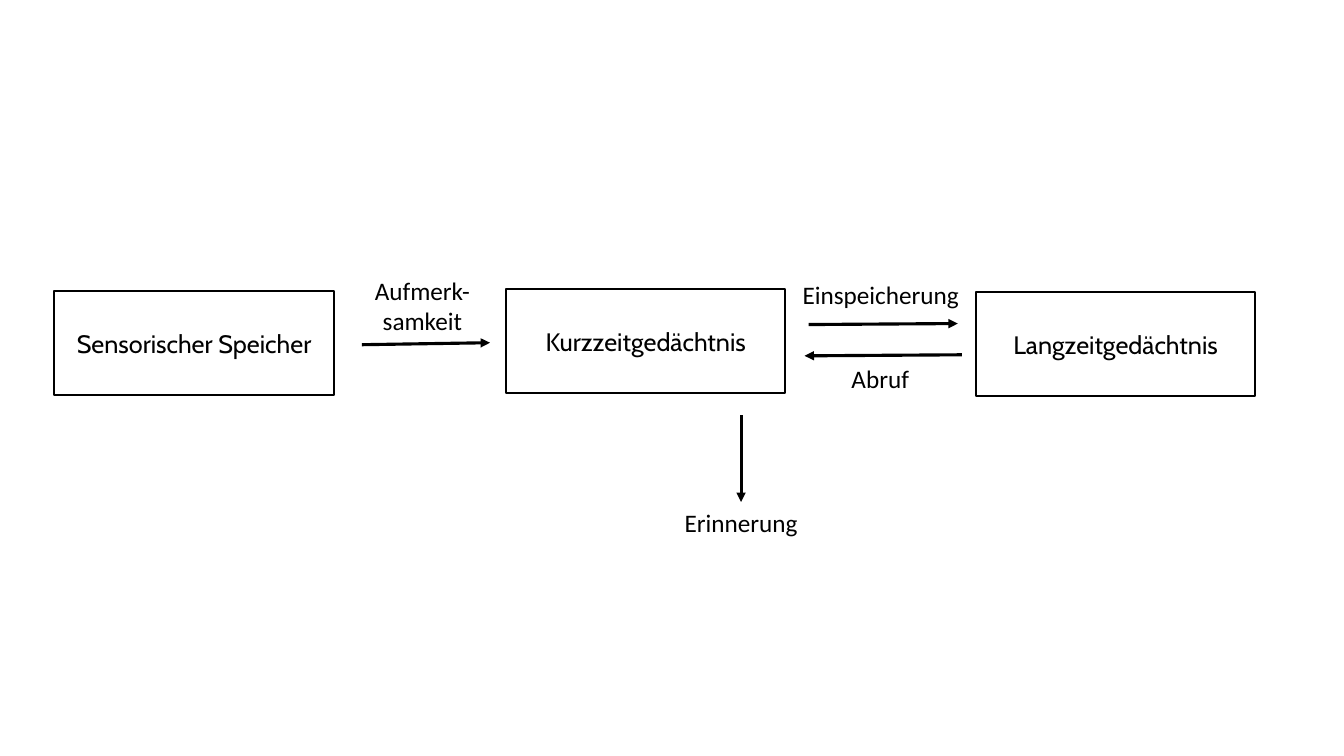
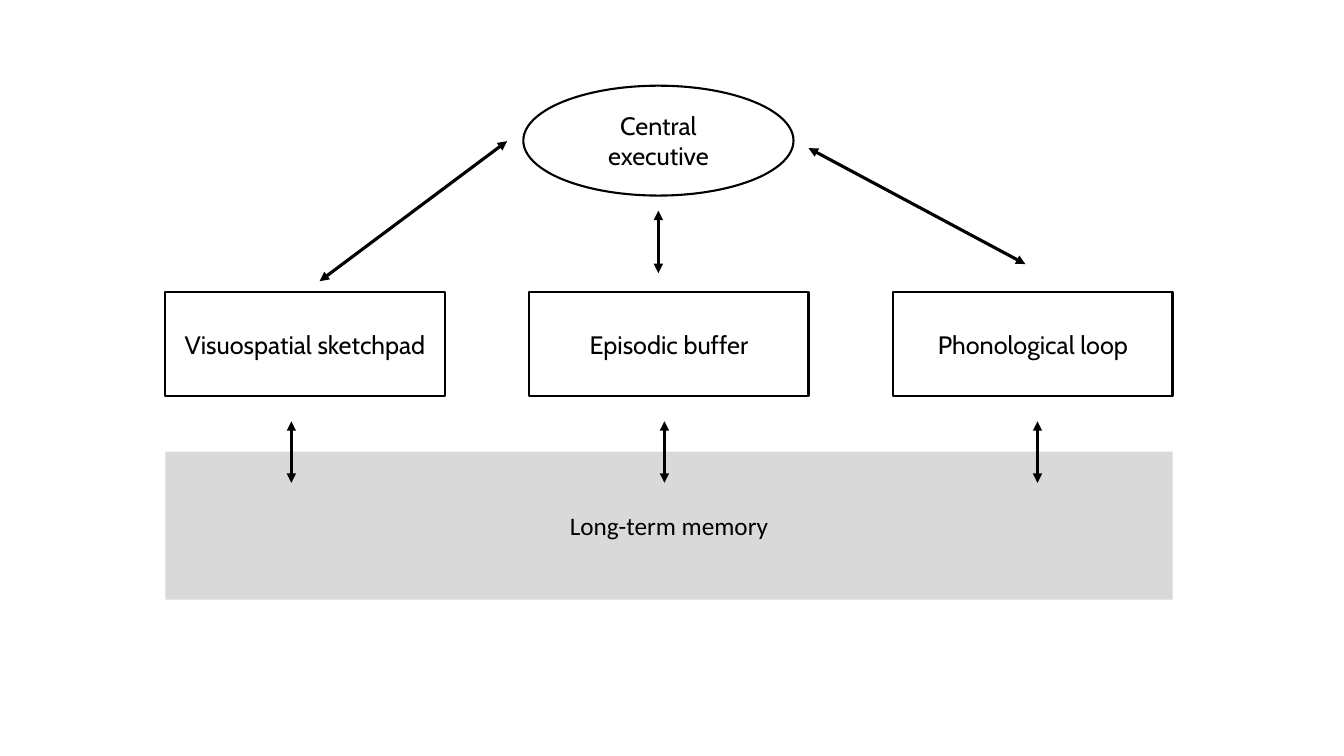
from pptx import Presentation
from pptx.dml.color import RGBColor
from pptx.enum.shapes import MSO_CONNECTOR, MSO_SHAPE
from pptx.enum.text import MSO_ANCHOR, MSO_AUTO_SIZE, PP_ALIGN
from pptx.oxml.ns import qn
from pptx.util import Inches, Pt
from lxml.etree import SubElement

# Shared style
BLACK, WHITE, GREY = "000000", "FFFFFF", "D9D9D9"
HEAD, BODY = "Cabin", "Calibri"
BOX_W, BOX_H = 2.77, 1.03


def color(code):
    return RGBColor.from_string(code)


def inches(*sizes):
    return [Inches(size) for size in sizes]


class Deck:
    font = {"size": Pt(18), "bold": False}
    frame = {"word_wrap": True, "vertical_anchor": MSO_ANCHOR.MIDDLE}
    label_frame = {"word_wrap": False,
                   "auto_size": MSO_AUTO_SIZE.SHAPE_TO_FIT_TEXT}

    def __init__(self):
        self.show = Presentation()
        self.show.slide_width, self.show.slide_height = inches(13.33, 7.5)

    def add(self):
        self.slide = self.show.slides.add_slide(self.show.slide_layouts[6])
        fill = self.slide.background.fill
        fill.solid()
        fill.fore_color.rgb = color(WHITE)

    def style(self, item, values):
        for name, value in values.items():
            setattr(item, name, value)

    def stroke(self, line, width):
        line.color.rgb = color(BLACK)
        line.width = Pt(width)

    def set_text(self, shape, text, face, frame):
        self.style(shape.text_frame, frame)
        shape.text_frame.text = text
        for para in shape.text_frame.paragraphs:
            para.alignment = PP_ALIGN.CENTER
            for run in para.runs:
                self.style(run.font, {**self.font, "name": face})
                run.font.color.rgb = color(BLACK)

    def box(self, text, x, y, w=BOX_W, h=BOX_H, kind=MSO_SHAPE.RECTANGLE,
            fill=WHITE, face=HEAD, border=True):
        shape = self.slide.shapes.add_shape(kind, *inches(x, y, w, h))
        shape.shadow.inherit = False
        shape.fill.solid()
        shape.fill.fore_color.rgb = color(fill)
        if border:
            self.stroke(shape.line, 1.5)
        else:
            shape.line.fill.background()
        self.set_text(shape, text, face, self.frame)

    def label(self, text, x, y, w, h=0.4):
        shape = self.slide.shapes.add_textbox(*inches(x, y, w, h))
        self.set_text(shape, text, BODY, self.label_frame)

    def arrow(self, start, end, both=False):
        link = self.slide.shapes.add_connector(
            MSO_CONNECTOR.STRAIGHT, *inches(*start, *end))
        self.stroke(link.line, 2.25)
        props = link.element.spPr
        line = props.get_or_add_ln()
        for tip in ["a:headEnd", "a:tailEnd"] if both else ["a:tailEnd"]:
            SubElement(line, qn(tip), type="triangle")
        SubElement(props, qn("a:effectLst"))


deck = Deck()

# Slide 1: memory stores
deck.add()
for text, x, y in [("Kurzzeitgedächtnis", 5.02, 2.87),
                   ("Sensorischer Speicher", 0.54, 2.89),
                   ("Langzeitgedächtnis", 9.68, 2.9)]:
    deck.box(text, x, y)

# Flow between the stores
for start, end in [((3.59, 3.42), (4.86, 3.4)),
                   ((8.02, 3.22), (9.5, 3.21)),
                   ((9.54, 3.52), (7.98, 3.53)),
                   ((7.35, 4.12), (7.35, 4.98))]:
    deck.arrow(start, end)
deck.label("Erinnerung", 6.68, 4.98, 1.34)
deck.label("Aufmerk-\nsamkeit", 3.61, 2.68, 1.16, 0.71)
deck.label("Einspeicherung", 7.85, 2.72, 1.77)
deck.label("Abruf", 8.34, 3.56, 0.78)

# Slide 2: working memory
deck.add()
left, step = 1.64, 3.61
parts = ["Visuospatial sketchpad", "Episodic buffer", "Phonological loop"]
for col, text in enumerate(parts):
    deck.box(text, left + col * step, 2.9)
deck.box("Central executive", 5.19, 0.85, 2.68, 1.09, MSO_SHAPE.OVAL)

# Links from the executive to the parts
for start, end in [((5.03, 1.4), (3.17, 2.79)),
                   ((8.02, 1.47), (10.17, 2.62)),
                   ((6.53, 2.09), (6.53, 2.71))]:
    deck.arrow(start, end, both=True)

# Long-term memory and its links to the parts
deck.box("Long-term memory", left, 4.48, 2 * step + BOX_W, 1.47,
         fill=GREY, face=BODY, border=False)
for col in range(len(parts)):
    x = 2.89 + col * 3.7
    deck.arrow((x, 4.18), (x, 4.79), both=True)

deck.show.save("out.pptx")
